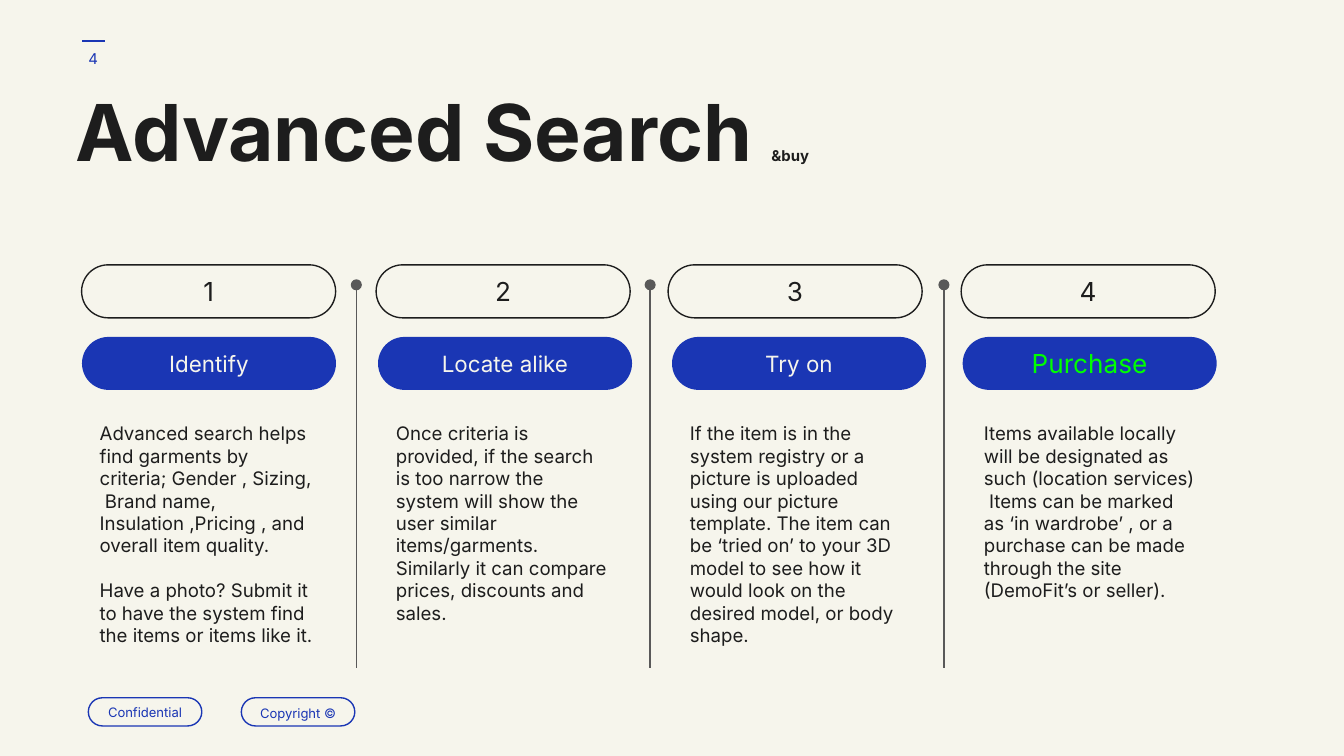
from dataclasses import dataclass

from lxml.etree import SubElement
from pptx import Presentation
from pptx.dml.color import RGBColor as Rgb
from pptx.enum.shapes import MSO_CONNECTOR as Connector, MSO_SHAPE as Preset
from pptx.enum.text import MSO_ANCHOR as Anchor, MSO_AUTO_SIZE as AutoSize, PP_ALIGN as Align
from pptx.oxml.ns import qn
from pptx.util import Pt


@dataclass(frozen=True)
class Theme:
    font: str = "Inter"
    paper: str = "F6F5EC"
    ink: str = "1D1D1D"
    blue: str = "1A36B4"
    green: str = "00FF00"
    grey: str = "595959"
    title: int = 42
    number: int = 14
    label: int = 12
    body: int = 10
    small: int = 8
    footer: int = 7
    inset: float = 7.2
    rule: float = 0.75


def assign(target, values):
    for name, value in values.items():
        setattr(target, name, value)


class SlideBuilder:
    def __init__(self, slide, theme):
        self.slide, self.theme = slide, theme
        slide.background.fill.solid()
        slide.background.fill.fore_color.rgb = Rgb.from_string(theme.paper)

    def place(self, item, box):
        assign(item, dict(zip(("left", "top", "width", "height"), map(Pt, box))))

    def frame(self, item, anchor):
        inset = Pt(self.theme.inset)
        assign(item.text_frame, {
            "word_wrap": True, "auto_size": AutoSize.NONE, "vertical_anchor": anchor,
            "margin_left": inset, "margin_right": inset,
            "margin_top": inset, "margin_bottom": inset,
        })
        return item.text_frame

    def style(self, font, size, color, bold=False):
        assign(font, {"name": self.theme.font, "size": Pt(size), "bold": bold})
        font.color.rgb = Rgb.from_string(color)

    def caption(self, item, words, size, color, spacing=1.0):
        paragraph = self.frame(item, Anchor.MIDDLE).paragraphs[0]
        assign(paragraph, {"text": words, "alignment": Align.CENTER, "line_spacing": spacing})
        self.style(paragraph.runs[0].font, size, color)

    def title(self, parts, box):
        heading = self.slide.shapes.title
        self.place(heading, box)
        paragraph = self.frame(heading, Anchor.TOP).paragraphs[0]
        assign(paragraph, {"alignment": Align.LEFT, "line_spacing": 0.8})
        for words, size in parts:
            run = paragraph.add_run()
            run.text = words
            self.style(run.font, size, self.theme.ink, bold=True)

    def body(self, holder, paragraphs, gap, box):
        self.place(holder, box)
        frame = self.frame(holder, Anchor.TOP)
        for index, words in enumerate(paragraphs):
            paragraph = frame.add_paragraph() if index else frame.paragraphs[0]
            assign(paragraph, {
                "text": words, "alignment": Align.LEFT, "line_spacing": 1.0,
                "space_before": Pt(gap if index else 0), "space_after": Pt(0),
            })
            properties = paragraph._p.get_or_add_pPr()
            properties.set("marL", "0")
            properties.set("indent", "0")
            SubElement(properties, qn("a:buNone"))
            for run in paragraph.runs:
                self.style(run.font, self.theme.body, self.theme.ink)

    def pill(self, words, box, size, color, fill=None, outline=None, spacing=1.0):
        pill = self.slide.shapes.add_shape(Preset.ROUNDED_RECTANGLE, *map(Pt, box))
        pill.adjustments[0] = 0.5
        pill.shadow.inherit = False
        if fill:
            pill.fill.solid()
            pill.fill.fore_color.rgb = Rgb.from_string(fill)
        else:
            pill.fill.background()
        if outline:
            pill.line.color.rgb = Rgb.from_string(outline)
            pill.line.width = Pt(self.theme.rule)
        else:
            pill.line.fill.background()
        self.caption(pill, words, size, color, spacing)

    def text(self, words, box, size, color):
        self.caption(self.slide.shapes.add_textbox(*map(Pt, box)), words, size, color)

    def line(self, start, end, color, head=None):
        rule = self.slide.shapes.add_connector(Connector.STRAIGHT, *map(Pt, start + end))
        rule.line.color.rgb = Rgb.from_string(color)
        rule.line.width = Pt(self.theme.rule)
        if head:
            SubElement(rule.line._get_or_add_ln(), qn("a:headEnd"), type=head)
        SubElement(rule._element.spPr, qn("a:effectLst"))


def main():
    theme = Theme()
    deck = Presentation()
    assign(deck, {"slide_width": Pt(720), "slide_height": Pt(405)})
    slide = deck.slides.add_slide(deck.slide_layouts.get_by_name("Comparison"))
    page = SlideBuilder(slide, theme)

    page.line((56, 22), (44, 22), theme.blue)
    page.text("4", (33.1, 15.8, 33.8, 31), theme.small, theme.blue)
    page.title([("Advanced Search ", theme.title), ("&buy", theme.small)],
               (33.1, 46.8, 540.7, 82.1))

    for words, left, spacing in (("Confidential", 47.3, 1.0), ("Copyright ©", 129.3, 1.15)):
        page.pill(words, (left, 373.8, 60.8, 15.1), theme.footer, theme.blue,
                  outline=theme.blue, spacing=spacing)

    steps = [
        ("Identify", theme.label, theme.paper, (43.7, 43.9, 46.2), 12.1, [
            "Advanced search helps find garments by criteria; Gender , Sizing,\v"
            " Brand name,\vInsulation ,Pricing , and overall item quality.",
            "Have a photo? Submit it to have the system find the items or items like it."]),
        ("Locate alike", theme.label, theme.paper, (201.5, 202.5, 204.9), 0, [
            "Once criteria is provided, if the search is too narrow the system will show "
            "the user similar items/garments.",
            "Similarly it can compare prices, discounts and sales."]),
        ("Try on", theme.label, theme.paper, (357.9, 360, 362.4), 0, [
            "If the item is in the system registry or a picture is uploaded using our "
            "picture template. The item can be ‘tried on’ to your 3D model to see how it "
            "would look on the desired model, or body shape."]),
        ("Purchase", theme.number, theme.green, (514.9, 515.7, 519.9), 0, [
            "Items available locally will be designated as such (location services)",
            " Items can be marked as ‘in wardrobe’ , or a purchase can be made through "
            "the site (DemoFit’s or seller)."]),
    ]
    holders = [holder for holder in slide.placeholders if holder.placeholder_format.idx]
    for number, (step, holder) in enumerate(zip(steps, holders), 1):
        label, size, color, (number_left, label_left, body_left), gap, paragraphs = step
        page.pill(str(number), (number_left, 141.9, 136.1, 28.4), theme.number, theme.ink,
                  outline=theme.ink)
        page.pill(label, (label_left, 180.5, 136.1, 28.4), size, color, fill=theme.blue)
        page.body(holder, paragraphs, gap, (body_left, 218.9, 128.9, 135.4))

    for gutter in range(len(steps) - 1):
        x = 190.9 + 157.4 * gutter
        page.line((x, 152.6), (x, 357.8), theme.grey, head="oval")

    deck.save("out.pptx")


if __name__ == "__main__":
    main()
